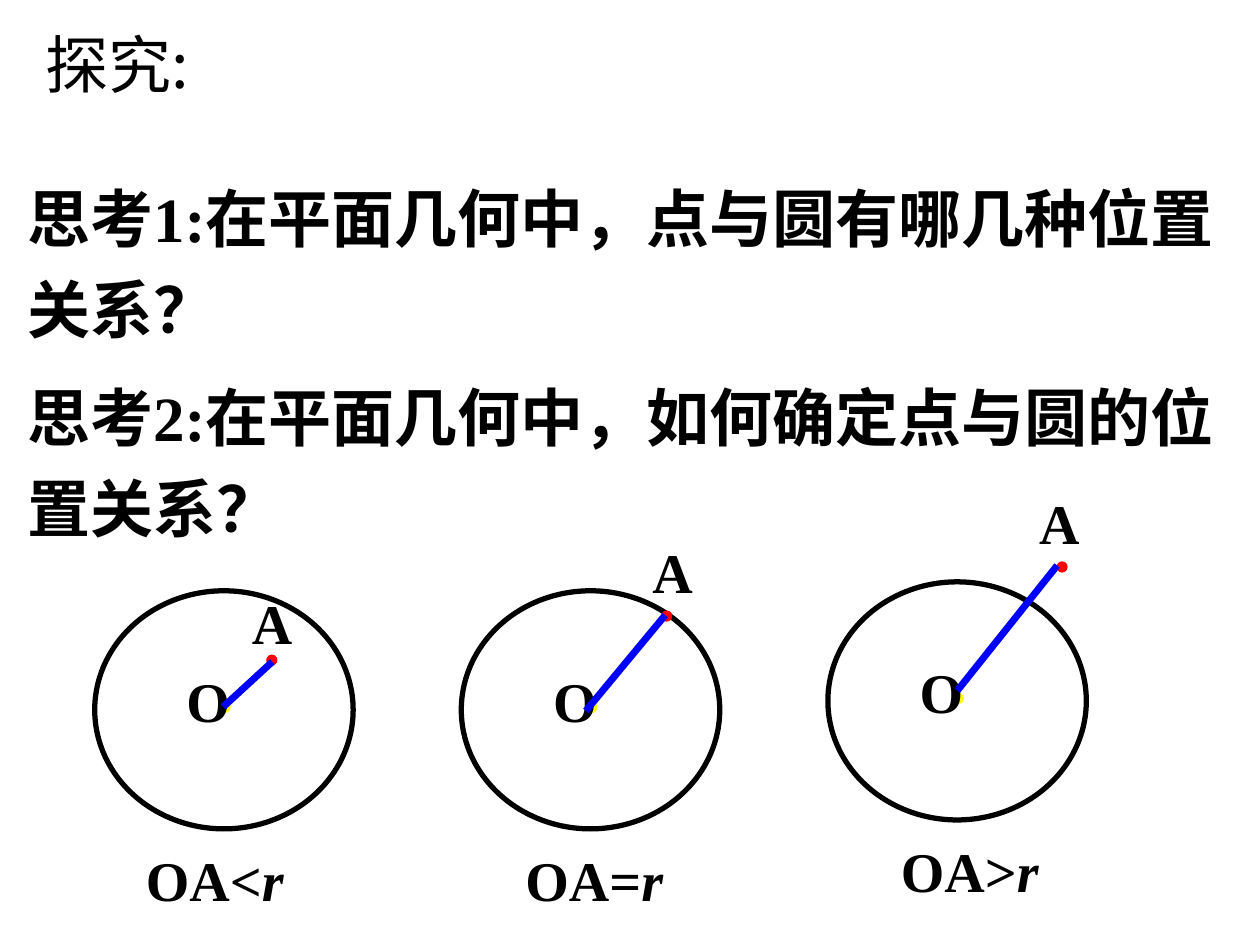
import pptx
import pptx.util
from dataclasses import dataclass
from lxml import etree
from pptx.dml.color import RGBColor
from pptx.enum.shapes import MSO_CONNECTOR, MSO_SHAPE
from pptx.enum.text import MSO_ANCHOR, MSO_AUTO_SIZE, PP_ALIGN
from pptx.oxml.ns import qn
from pptx.util import Cm, Pt

BLACK = RGBColor(0, 0, 0)
RED = RGBColor(255, 0, 0)
YELLOW = RGBColor(255, 255, 0)
BLUE = RGBColor(0, 0, 255)
LATIN_FONT = "Times New Roman"
CHINESE_FONT = "Noto Sans CJK SC"

CIRCLE_WIDTH, CIRCLE_HEIGHT = 5.21, 4.8
DOT_SIZE = 0.2
FIRST_CIRCLE_LEFT, CIRCLE_STEP = 1.91, 7.39


@dataclass
class PointCase:
    """One position of point A relative to circle O, lengths in cm."""
    relation: str
    circle_top: float
    point: tuple
    label: tuple
    radius_start: tuple
    radius_end: tuple
    caption_left: float


CASES = [
    PointCase("OA<", 11.91, (5.38, 13.21), (4.83, 11.73),
              (4.5, 14.25), (5.49, 13.34), 2.69),
    PointCase("OA=", 11.91, (13.34, 12.32), (12.9, 10.72),
              (11.81, 14.33), (13.41, 12.4), 10.34),
    PointCase("OA>", 11.73, (21.31, 11.33), (20.7, 9.73),
              (19.3, 13.92), (21.31, 11.4), 17.91),
]


def format_run(run, size, latin=LATIN_FONT, bold=True):
    run.font.size = Pt(size)
    run.font.name = latin
    run.font.bold = bold
    run.font.color.rgb = BLACK
    east_asian = etree.SubElement(run.font._element, qn("a:ea"))
    east_asian.set("typeface", CHINESE_FONT)


def add_title(slide, text):
    title = slide.shapes.title
    title.left, title.top = Cm(0.5), Cm(0.38)
    title.width, title.height = Cm(3.38), Cm(2.54)
    frame = title.text_frame
    frame.text = text
    frame.word_wrap = False
    frame.auto_size = MSO_AUTO_SIZE.NONE
    frame.vertical_anchor = MSO_ANCHOR.TOP
    frame.paragraphs[0].alignment = PP_ALIGN.CENTER
    format_run(frame.paragraphs[0].runs[0], 36, CHINESE_FONT, bold=False)


def add_text(slide, left, top, width, height, text, size):
    """Add a bold text box and return its paragraph."""
    box = slide.shapes.add_textbox(Cm(left), Cm(top), Cm(width), Cm(height))
    box.text_frame.word_wrap = True
    box.text_frame.text = text
    paragraph = box.text_frame.paragraphs[0]
    format_run(paragraph.runs[0], size)
    return paragraph


def add_question(slide, top, width, text):
    add_text(slide, 0.3, top, width, 3.91, text, 36).line_spacing = 1.2


def add_label(slide, left, top, text, width=1.8):
    paragraph = add_text(slide, left, top, width, 1.63, text, 32)
    paragraph.space_before = Pt(3.5)
    return paragraph


def add_ellipse(slide, left, top, width, height, line_color, line_width, fill=None):
    ellipse = slide.shapes.add_shape(
        MSO_SHAPE.OVAL, Cm(left), Cm(top), Cm(width), Cm(height))
    ellipse.shadow.inherit = False
    if fill is None:
        ellipse.fill.background()
    else:
        ellipse.fill.solid()
        ellipse.fill.fore_color.rgb = fill
    ellipse.line.color.rgb = line_color
    ellipse.line.width = Pt(line_width)


def add_dot(slide, left, top, color):
    add_ellipse(slide, left, top, DOT_SIZE, DOT_SIZE, color, 0.75, color)


def add_segment(slide, start, end):
    segment = slide.shapes.add_connector(
        MSO_CONNECTOR.STRAIGHT, Cm(start[0]), Cm(start[1]), Cm(end[0]), Cm(end[1]))
    segment.line.color.rgb = BLUE
    segment.line.width = Pt(4)
    etree.SubElement(segment._element.spPr, qn("a:effectLst"))


def add_case(slide, circle_left, case):
    circle_top = case.circle_top
    add_dot(slide, circle_left + 2.53, circle_top + 2.25, YELLOW)
    add_ellipse(slide, circle_left, circle_top, CIRCLE_WIDTH, CIRCLE_HEIGHT, BLACK, 3)
    add_dot(slide, *case.point, RED)
    add_label(slide, *case.label, "A")
    add_label(slide, circle_left + 1.6, circle_top + 1.4, "O")
    add_segment(slide, case.radius_start, case.radius_end)
    caption = add_label(slide, case.caption_left, circle_top + 5.01, case.relation, 3.99)
    radius = caption.add_run()
    radius.text = "r"
    format_run(radius, 32)
    radius.font.italic = True


def main():
    presentation = pptx.Presentation()
    presentation.slide_width, presentation.slide_height = Cm(25.4), Cm(19.05)
    slide = presentation.slides.add_slide(presentation.slide_layouts[5])
    add_title(slide, "探究:")
    add_question(slide, 3.2, 25.4, "思考1:在平面几何中，点与圆有哪几种位置关系？")
    add_question(slide, 7.21, 24.61, "思考2:在平面几何中，如何确定点与圆的位置关系？")
    for index, case in enumerate(CASES):
        add_case(slide, FIRST_CIRCLE_LEFT + index * CIRCLE_STEP, case)
    presentation.save("out.pptx")


if __name__ == "__main__":
    main()
